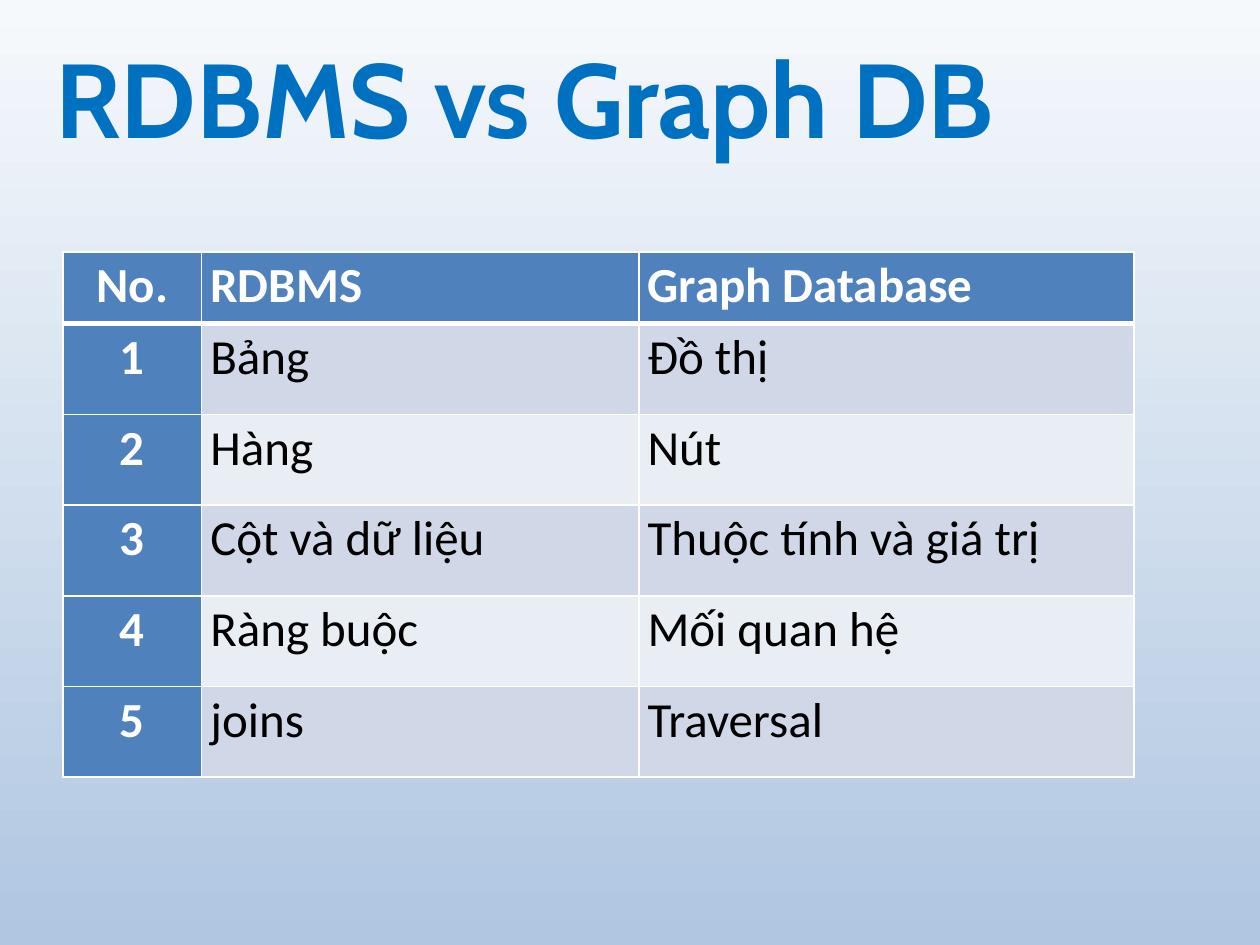
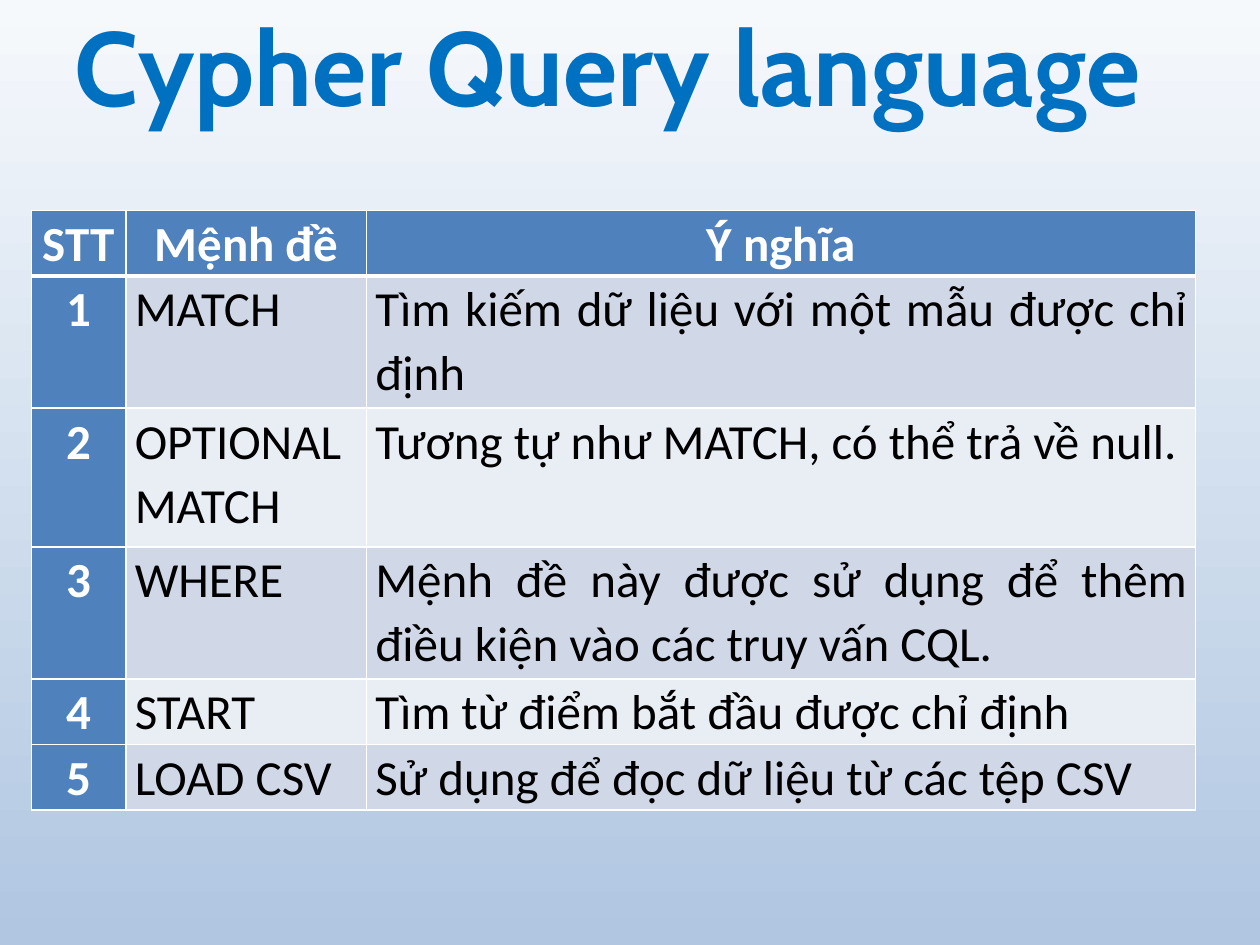
from dataclasses import dataclass

from pptx import Presentation
from pptx import util as u
from pptx.dml.color import RGBColor
from pptx.enum import text as t
from pptx.oxml import parse_xml
from pptx.oxml.ns import nsdecls

EMU_PER_PX = 9144
SKY_TOP, SKY_BOTTOM = "F6F9FC", "B0C6E1"
TITLE_BLUE, HEADER_BLUE = "0070C0", "4F81BD"
BANDS = ("D0D8E8", "E9EDF4")
WHITE, BLACK = "FFFFFF", "000000"
CENTER, JUSTIFY = t.PP_ALIGN.CENTER, t.PP_ALIGN.JUSTIFY


@dataclass(frozen=True)
class Box:
    left: int
    top: int
    width: int
    height: int


@dataclass(frozen=True)
class Comparison:
    title: str
    title_box: Box
    left: int
    top: int
    columns: tuple[int, ...]
    heights: tuple[int, ...]
    header_align: t.PP_ALIGN
    header: tuple[str, ...]
    entries: tuple[tuple[str, str], ...]


def px(length: int) -> u.Emu:
    return u.Emu(length * EMU_PER_PX)


def color(code: str) -> RGBColor:
    return RGBColor.from_string(code)


def write(frame, words: str, *, font: str = "Calibri", size: int = 28, ink: str = BLACK,
          bold: bool = False, align=t.PP_ALIGN.LEFT, line: float = 1.0, after: int = 0) -> None:
    paragraph = frame.paragraphs[0]
    paragraph.alignment = align
    paragraph.line_spacing = line
    paragraph.space_after = u.Pt(after)
    run = paragraph.add_run()
    run.text = words
    run.font.name, run.font.size, run.font.bold = font, u.Pt(size), bold
    run.font.color.rgb = color(ink)


def paint_sky(slide) -> None:
    sky = slide.background.fill
    sky.gradient()
    sky.gradient_angle = 270
    for stop, code in zip(sky.gradient_stops, (SKY_TOP, SKY_BOTTOM)):
        stop.color.rgb = color(code)


def add_title(slide, words: str, box: Box) -> None:
    title = slide.shapes.add_textbox(*map(px, (box.left, box.top, box.width, box.height)))
    title.text_frame.word_wrap = True
    title.text_frame.vertical_anchor = t.MSO_ANCHOR.MIDDLE
    write(title.text_frame, words, font="Cabin", size=60, ink=TITLE_BLUE, bold=True)


def draw_borders(cell, row: int) -> None:
    widths = {"L": 1, "R": 1, "T": 3 if row == 1 else 1, "B": 3 if row == 0 else 1}
    for side, points in widths.items():
        cell._tc.get_or_add_tcPr().append(parse_xml(
            f'<a:ln{side} {nsdecls("a")} w="{u.Pt(points)}"><a:solidFill>'
            f'<a:srgbClr val="{WHITE}"/></a:solidFill></a:ln{side}>'))


def fill_cell(cell, words: str, row: int, column: int, header_align) -> None:
    heading = row == 0 or column == 0
    cell.margin_left = cell.margin_right = px(7)
    cell.margin_top = cell.margin_bottom = 0
    draw_borders(cell, row)
    cell.fill.solid()
    cell.fill.fore_color.rgb = color(HEADER_BLUE if heading else BANDS[(row - 1) % 2])
    align = CENTER if column == 0 else header_align if row == 0 else JUSTIFY
    write(cell.text_frame, words, ink=WHITE if heading else BLACK, bold=heading,
          align=align, line=1.07, after=8)


def add_comparison(slide, page: Comparison) -> None:
    numbered = [(str(number), *entry) for number, entry in enumerate(page.entries, 1)]
    lines = [page.header, *numbered]
    table = slide.shapes.add_table(
        len(lines), len(page.columns), px(page.left), px(page.top),
        px(sum(page.columns)), px(sum(page.heights))).table
    table.first_col = True
    table.horz_banding = False
    for column, width in zip(table.columns, page.columns):
        column.width = px(width)
    for row, height in zip(table.rows, page.heights):
        row.height = px(height)
    for row, line in enumerate(lines):
        for column, words in enumerate(line):
            fill_cell(table.cell(row, column), words, row, column, page.header_align)


PAGES = (
    Comparison(
        title="RDBMS vs Graph DB", title_box=Box(34, 14, 900, 125),
        left=50, top=200, columns=(110, 347, 393), heights=(57, *[72] * 5),
        header_align=JUSTIFY, header=("No.", "RDBMS", "Graph Database"),
        entries=(
            ("Bảng", "Đồ thị"),
            ("Hàng", "Nút"),
            ("Cột và dữ liệu", "Thuộc tính và giá trị"),
            ("Ràng buộc", "Mối quan hệ"),
            ("joins", "Traversal"),
        )),
    Comparison(
        title="Cypher Query language", title_box=Box(49, -1, 900, 105),
        left=25, top=167, columns=(75, 191, 658), heights=(52, 105, 110, 105, 52, 52),
        header_align=CENTER, header=("STT", "Mệnh đề", "Ý nghĩa"),
        entries=(
            ("MATCH", "Tìm kiếm dữ liệu với một mẫu được chỉ định"),
            ("OPTIONAL MATCH", "Tương tự như MATCH, có thể trả về null."),
            ("WHERE", "Mệnh đề này được sử dụng để thêm điều kiện vào các truy vấn CQL."),
            ("START", "Tìm từ điểm bắt đầu được chỉ định"),
            ("LOAD CSV", "Sử dụng để đọc dữ liệu từ các tệp CSV"),
        )),
)


def main() -> None:
    deck = Presentation()
    deck.slide_width, deck.slide_height = px(1000), px(750)
    for page in PAGES:
        slide = deck.slides.add_slide(deck.slide_layouts[6])
        paint_sky(slide)
        add_title(slide, page.title, page.title_box)
        add_comparison(slide, page)
    deck.save("out.pptx")


if __name__ == "__main__":
    main()
